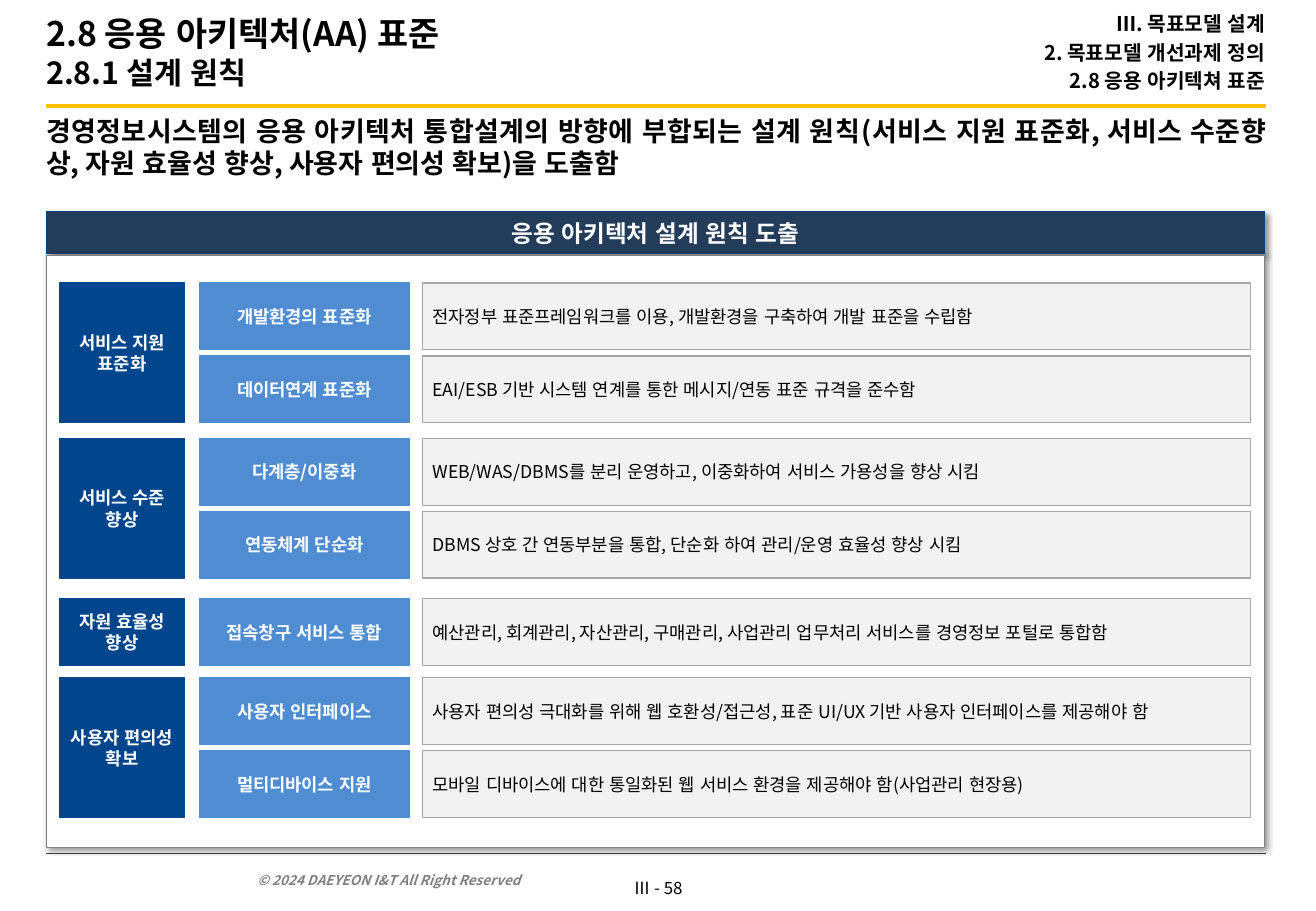
"""Builds the slide on design principles for the application architecture."""
from dataclasses import dataclass

from lxml import etree
from pptx import Presentation
from pptx.dml.color import RGBColor
from pptx.enum.dml import MSO_LINE
from pptx.enum.lang import MSO_LANGUAGE_ID
from pptx.enum.shapes import MSO_CONNECTOR, MSO_SHAPE
from pptx.enum.text import MSO_ANCHOR, PP_ALIGN
from pptx.oxml.ns import qn
from pptx.util import Inches, Pt

RECTANGLE, STRAIGHT, SOLID = MSO_SHAPE.RECTANGLE, MSO_CONNECTOR.STRAIGHT, MSO_LINE.SOLID
LEFT, CENTER, RIGHT, JUSTIFY = PP_ALIGN.LEFT, PP_ALIGN.CENTER, PP_ALIGN.RIGHT, PP_ALIGN.JUSTIFY
TOP, MIDDLE, BOTTOM = MSO_ANCHOR.TOP, MSO_ANCHOR.MIDDLE, MSO_ANCHOR.BOTTOM
KOREAN = MSO_LANGUAGE_ID.KOREAN

TITLE = [("2.8 응용 아키텍처(AA) 표준", 20), ("2.8.1 설계 원칙", 18)]
BREADCRUMB = ["Ⅲ. 목표모델 설계", "2. 목표모델 개선과제 정의", "2.8 응용 아키텍쳐 표준"]
MESSAGE = ("경영정보시스템의 응용 아키텍처 통합설계의 방향에 부합되는 설계 원칙"
           "(서비스 지원 표준화, 서비스 수준향상, 자원 효율성 향상, 사용자 편의성 확보)을 도출함")
PANEL_TITLE = "응용 아키텍처 설계 원칙 도출"
PRINCIPLES = [
    ("서비스 지원 표준화", 2.33, [
        ("개발환경의 표준화", "전자정부 표준프레임워크를 이용, 개발환경을 구축하여 개발 표준을 수립함"),
        ("데이터연계 표준화", "EAI/ESB 기반 시스템 연계를 통한 메시지/연동 표준 규격을 준수함")]),
    ("서비스 수준 향상", 3.61, [
        ("다계층/이중화", "WEB/WAS/DBMS를 분리 운영하고, 이중화하여 서비스 가용성을 향상 시킴"),
        ("연동체계 단순화", "DBMS 상호 간 연동부분을 통합, 단순화 하여 관리/운영 효율성 향상 시킴")]),
    ("자원 효율성 향상", 4.93, [
        ("접속창구 서비스 통합",
         "예산관리, 회계관리, 자산관리, 구매관리, 사업관리 업무처리 서비스를 경영정보 포털로 통합함")]),
    ("사용자 편의성 확보", 5.58, [
        ("사용자 인터페이스",
         "사용자 편의성 극대화를 위해 웹 호환성/접근성, 표준 UI/UX 기반 사용자 인터페이스를 제공해야 함"),
        ("멀티디바이스 지원", "모바일 디바이스에 대한 통일화된 웹 서비스 환경을 제공해야 함(사업관리 현장용)")]),
]
COPYRIGHT = "© 2024 DAEYEON I&T All Right Reserved"
PAGE = "Ⅲ - 58"

WIDTH, HEIGHT = 10.83, 7.5
MARGIN, CONTENT_WIDTH = 0.38, 10.04
COLUMNS = {"group": (0.49, 1.03), "principle": (1.64, 1.73), "detail": (3.48, 6.81)}
ROW_HEIGHT, ROW_PITCH = 0.55, 0.6
CELL_INSETS = (0.08, 0.04, 0.08, 0.04)
DEFAULT_INSETS = (0.1, 0.05, 0.1, 0.05)


@dataclass(frozen=True)
class Theme:
    font: str = "Noto Sans CJK KR"
    black: str = "000000"
    white: str = "FFFFFF"
    gray: str = "808080"
    gold: str = "FFC000"
    footer_rule: str = "404040"
    banner: str = "233C5A"
    banner_line: str = "00437A"
    group: str = "01458C"
    principle: str = "508CD2"
    detail: str = "F2F2F2"
    detail_line: str = "A6A6A6"
    message_size: float = 16
    banner_size: float = 14
    breadcrumb_size: float = 12
    cell_size: float = 10.5
    page_size: float = 10
    copyright_size: float = 8


THEME = Theme()


def write(shape, paragraphs, size=THEME.cell_size, color=THEME.black, bold=False, italic=False,
          align=LEFT, anchor=MIDDLE, insets=DEFAULT_INSETS, wrap=True, space=0):
    """Fill a shape with paragraphs; a paragraph is a string or a list of (line, size)."""
    frame = shape.text_frame
    frame.word_wrap, frame.vertical_anchor = wrap, anchor
    frame.margin_left, frame.margin_top, frame.margin_right, frame.margin_bottom = map(Inches, insets)
    for index, content in enumerate(paragraphs):
        paragraph = frame.add_paragraph() if index else frame.paragraphs[0]
        paragraph.alignment = align
        if index and space:
            paragraph.space_before = Pt(space)
        lines = [(content, size)] if isinstance(content, str) else content
        for number, (line, line_size) in enumerate(lines):
            if number:
                paragraph.add_line_break()
            run = paragraph.add_run()
            run.text = line
            font = run.font
            font.name, font.size, font.bold, font.italic = THEME.font, Pt(line_size), bold, italic
            font.color.rgb = RGBColor.from_string(color)
            font.language_id = KOREAN
            run._r.rPr.find(qn("a:latin")).addnext(
                etree.Element(qn("a:ea"), typeface=THEME.font))


def add_text(slide, box, paragraphs, **text_format):
    write(slide.shapes.add_textbox(*map(Inches, box)), paragraphs, **text_format)


def add_box(slide, box, fill, line, weight=0.75):
    shape = slide.shapes.add_shape(RECTANGLE, *map(Inches, box))
    shape.shadow.inherit = False
    shape.fill.solid()
    shape.fill.fore_color.rgb = RGBColor.from_string(fill)
    shape.line.color.rgb = RGBColor.from_string(line)
    shape.line.width = Pt(weight)
    return shape


def cast_shadow(shape):
    effects = shape._element.spPr.find(qn("a:effectLst"))
    shadow = etree.SubElement(effects, qn("a:outerShdw"), blurRad=str(Pt(3)), dist=str(Pt(2)),
                              dir=str(45 * 60000), algn="tl", rotWithShape="0")
    color = etree.SubElement(shadow, qn("a:srgbClr"), val=THEME.black)
    etree.SubElement(color, qn("a:alpha"), val="40000")


def add_rule(slide, top, color, weight):
    ends = map(Inches, (MARGIN, top, MARGIN + CONTENT_WIDTH, top))
    rule = slide.shapes.add_connector(STRAIGHT, *ends)
    rule.line.color.rgb = RGBColor.from_string(color)
    rule.line.width, rule.line.dash_style = Pt(weight), SOLID
    etree.SubElement(rule._element.spPr, qn("a:effectLst"))


def add_frame(slide):
    add_rule(slide, 0.87, THEME.gold, 2.5)
    add_rule(slide, 7.03, THEME.footer_rule, 0.5)
    add_text(slide, (5.12, 7.18, 0.59, 0.27), [PAGE], size=THEME.page_size, align=CENTER,
             anchor=TOP, insets=(0.06, 0.05, 0.06, 0.05), wrap=False)
    add_text(slide, (2.02, 7.09, 3.02, 0.27), [COPYRIGHT], size=THEME.copyright_size,
             color=THEME.gray, bold=True, italic=True, anchor=BOTTOM)
    add_text(slide, (MARGIN, 0.94, CONTENT_WIDTH, 0.68), [MESSAGE], size=THEME.message_size,
             bold=True, align=JUSTIFY, anchor=TOP, insets=(0, 0, 0, 0))
    add_text(slide, (MARGIN, 0, 8.19, 0.85), [TITLE], bold=True, insets=(0, 0.05, 0.1, 0.05))
    add_text(slide, (6.87, 0, 3.54, 0.86), BREADCRUMB, size=THEME.breadcrumb_size, bold=True,
             align=RIGHT, insets=(0, 0.05, 0, 0.05), space=0.2 * THEME.breadcrumb_size)


def add_panel(slide):
    banner = add_box(slide, (MARGIN, 1.74, 10.03, 0.35), THEME.banner, THEME.banner_line, 0.5)
    body = add_box(slide, (MARGIN, 2.1, 10.03, 4.88), THEME.white, THEME.gray, 0.5)
    for shape in (banner, body):
        cast_shadow(shape)
    write(banner, [PANEL_TITLE], size=THEME.banner_size, color=THEME.white, bold=True, align=CENTER)


def add_cell(slide, column, top, height, text):
    left, width = COLUMNS[column]
    is_detail = column == "detail"
    fill = getattr(THEME, column)
    cell = add_box(slide, (left, top, width, height), fill, THEME.detail_line if is_detail else fill)
    write(cell, [text], color=THEME.black if is_detail else THEME.white, bold=not is_detail,
          align=LEFT if is_detail else CENTER, insets=CELL_INSETS)


def main():
    presentation = Presentation()
    presentation.slide_width, presentation.slide_height = Inches(WIDTH), Inches(HEIGHT)
    slide = presentation.slides.add_slide(presentation.slide_layouts[6])
    add_frame(slide)
    add_panel(slide)
    for group, top, rows in PRINCIPLES:
        add_cell(slide, "group", top, ROW_PITCH * (len(rows) - 1) + ROW_HEIGHT, group)
        for index, (principle, detail) in enumerate(rows):
            row_top = top + index * ROW_PITCH
            add_cell(slide, "principle", row_top, ROW_HEIGHT, principle)
            add_cell(slide, "detail", row_top, ROW_HEIGHT, detail)
    presentation.save("out.pptx")


if __name__ == "__main__":
    main()
